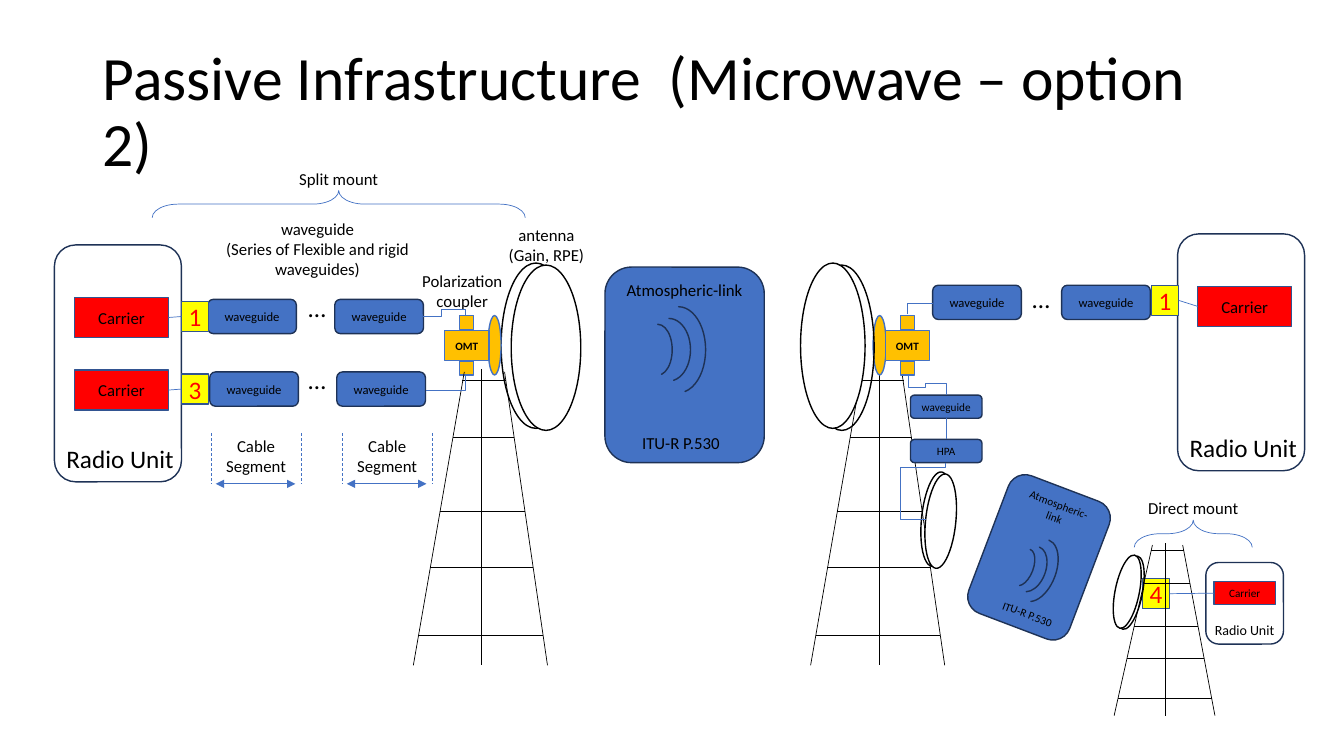
from lxml import etree
from pptx import Presentation
from pptx.dml.color import RGBColor
from pptx.enum.dml import MSO_LINE
from pptx.enum.shapes import MSO_CONNECTOR, MSO_SHAPE
from pptx.enum.text import MSO_ANCHOR, MSO_AUTO_SIZE, PP_ALIGN
from pptx.oxml.ns import qn
from pptx.util import Inches, Pt

RECT, ROUND, OVAL = MSO_SHAPE.RECTANGLE, MSO_SHAPE.ROUNDED_RECTANGLE, MSO_SHAPE.OVAL
ARC, BRACE = MSO_SHAPE.BLOCK_ARC, MSO_SHAPE.RIGHT_BRACE
STRAIGHT, ELBOW = MSO_CONNECTOR.STRAIGHT, MSO_CONNECTOR.ELBOW
DASH = MSO_LINE.DASH
TOP, MIDDLE = MSO_ANCHOR.TOP, MSO_ANCHOR.MIDDLE
LEFT, CENTER = PP_ALIGN.LEFT, PP_ALIGN.CENTER
FIT = MSO_AUTO_SIZE.SHAPE_TO_FIT_TEXT
SITE_TOP, SITE_BOTTOM, SITE_LEFT, SITE_RIGHT = 0, 2, 1, 3

BLUE, NAVY, EDGE = "4472C4", "1E3256", "325491"
BLACK, WHITE, RED, YELLOW, ORANGE = "000000", "FFFFFF", "FF0000", "FFFF00", "FFC000"
RUNGS = (0.04, 0.23, 0.48, 0.67, 0.9)
WAVES = ((0.44, 0.34, 0), (0.26, 0.18, -0.13), (0.32, 0.27, -0.06))


def color(value):
    return RGBColor.from_string(value)


def write(shape, text, size, ink=BLACK, align=CENTER, anchor=MIDDLE, bold=False):
    frame = shape.text_frame
    frame.word_wrap = True
    frame.vertical_anchor = anchor
    frame.text = text
    for paragraph in frame.paragraphs:
        paragraph.alignment = align
        for run in paragraph.runs:
            run.font.name, run.font.size, run.font.bold = "Calibri", Pt(size), bold
            run.font.color.rgb = color(ink)
    return frame


def shape(slide, kind, x, y, w, h, fill=None, line=NAVY, weight=1, rotation=0):
    part = slide.shapes.add_shape(kind, Inches(x), Inches(y), Inches(w), Inches(h))
    part.shadow.inherit = False
    part.rotation = rotation
    if fill:
        part.fill.solid()
        part.fill.fore_color.rgb = color(fill)
    else:
        part.fill.background()
    part.line.color.rgb = color(line)
    part.line.width = Pt(weight)
    return part


def block(slide, kind, x, y, w, h, text, size, fill=BLUE, line=NAVY, ink=BLACK, bold=False):
    part = shape(slide, kind, x, y, w, h, fill, line)
    frame = write(part, text, size, ink, bold=bold)
    frame.margin_left = frame.margin_right = 0
    return part


def label(slide, x, y, w, h, text, size=12, align=CENTER, rotation=0):
    box = slide.shapes.add_textbox(Inches(x), Inches(y), Inches(w), Inches(h))
    box.rotation = rotation
    write(box, text, size, align=align, anchor=TOP).auto_size = FIT


def line(slide, x1, y1, x2, y2, ink=BLUE, kind=STRAIGHT):
    wire = slide.shapes.add_connector(kind, Inches(x1), Inches(y1), Inches(x2), Inches(y2))
    wire.line.color.rgb = color(ink)
    wire.line.width = Pt(0.5)
    etree.SubElement(wire.element.spPr, qn("a:effectLst"))
    return wire


def join(slide, start, start_site, end, end_site):
    wire = line(slide, 0, 0, 1, 1)
    wire.begin_connect(start, start_site)
    wire.end_connect(end, end_site)


def elbow(slide, x, y, w, h, bends, rotation=0, flips="", adjust=()):
    properties = line(slide, x, y, x + w, y + h, kind=ELBOW).element.spPr
    frame = properties.find(qn("a:xfrm"))
    frame.set("rot", str(rotation * 60000))
    for flip in flips:
        frame.set("flip" + flip, "1")
    geometry = properties.find(qn("a:prstGeom"))
    geometry.set("prst", f"bentConnector{bends}")
    guides = geometry.find(qn("a:avLst"))
    if guides is None:
        guides = etree.SubElement(geometry, qn("a:avLst"))
    for number, value in enumerate(adjust, 1):
        etree.SubElement(guides, qn("a:gd"), name=f"adj{number}", fmla=f"val {round(value * 100000)}")


def tower(slide, x, y, w, h):
    def leg(top, bottom, depth):
        return x + w * (top + (bottom - top) * depth)

    line(slide, leg(0.38, 0, 0), y + 0.01 * h, x, y + h, BLACK)
    line(slide, leg(0.68, 1, 0), y + 0.01 * h, x + w, y + h, BLACK)
    line(slide, x + 0.51 * w, y, x + 0.51 * w, y + h, BLACK)
    for depth in RUNGS:
        line(slide, leg(0.68, 1, depth), y + h * depth, leg(0.38, 0, depth), y + h * depth, BLACK)


def dish(slide, x, y, w, h, dx, dy, rotation=0, back=None):
    shape(slide, OVAL, x, y, w, h, back, BLACK, rotation=rotation)
    shape(slide, OVAL, x + dx, y + dy, w, h, WHITE, BLACK, rotation=rotation)


def omt(slide, x, y, feed_dx):
    shape(slide, OVAL, x + feed_dx, y, 0.13, 0.59, ORANGE, BLUE)
    block(slide, RECT, x, y + 0.15, 0.44, 0.3, "OMT", 8, ORANGE, BLUE, bold=True)
    for dy in (0, 0.45):
        shape(slide, RECT, x + 0.15, y + dy, 0.14, 0.14, ORANGE, BLUE)


def waveguide(slide, x, y):
    block(slide, ROUND, x, y, 0.88, 0.34, "waveguide", 9)


def port(slide, x, y, number):
    return block(slide, RECT, x, y, 0.27, 0.3, number, 18, YELLOW, EDGE, RED)


def carrier(slide, x, y, w=0.93, h=0.4, size=12):
    return block(slide, RECT, x, y, w, h, "Carrier", size, RED, EDGE)


def radio_unit(slide, x, y):
    shape(slide, ROUND, x, y, 1.26, 2.35)
    label(slide, x + 0.02, y + 1.92, 1.53, 0.4, "Radio Unit", 18, LEFT)


def brace(slide, x, y, w, h, text):
    part = shape(slide, BRACE, x + (w - h) / 2, y + (h - w) / 2, h, w, line=BLUE, weight=0.5, rotation=270)
    part.adjustments[0], part.adjustments[1] = 0.95, 0.5
    label(slide, x + w / 2 - 1.13, y - 0.27, 2.26, 0.3, text)


def cable_segment(slide, x, y, w, h):
    for edge in (x, x + w):
        line(slide, edge, y, edge, y + h).line.dash_style = DASH
    span = line(slide, x + 0.04, y + h, x + w - 0.06, y + h)
    stroke = span.element.spPr.find(qn("a:ln"))
    for end in ("a:headEnd", "a:tailEnd"):
        etree.SubElement(stroke, qn(end), type="triangle")
    label(slide, x + 0.04, y - 0.03, 0.8, 0.5, "Cable\nSegment")


def atmospheric_link(slide, x, y, w, h, size, waves, caption, rotation=0):
    panel = shape(slide, ROUND, x, y, w, h, BLUE, rotation=rotation)
    write(panel, "Atmospheric-link", size, anchor=TOP)
    wave_x, wave_y = waves
    for length, depth, shift in WAVES:
        arc_w, arc_h = length * h, depth * w
        arc = shape(slide, ARC, wave_x + shift * w - arc_w / 2, wave_y - arc_h / 2 + shift * wave_y * rotation / 500,
                    arc_w, arc_h, BLUE, rotation=90 + rotation)
        for index, value in enumerate((108, 210.7, 0)):
            arc.adjustments[index] = value
    label(slide, *caption, "ITU-R P.530", size, LEFT, rotation)


def heading(slide, x, y, w, h):
    title = slide.shapes.add_textbox(Inches(x), Inches(y), Inches(w), Inches(h))
    frame = write(title, "Passive Infrastructure  (Microwave – option 2)", 44, align=LEFT)
    frame.paragraphs[0].line_spacing = 0.9


def near_site(slide, x, y):
    dish(slide, x + 4.43, y + 0.18, 0.69, 1.64, 0.1, 0.02, back=WHITE)
    omt(slide, x + 3.87, y + 0.7, 0.43)
    tower(slide, x + 3.56, y + 1.23, 1.33, 2.94)
    radio_unit(slide, x, y)
    for row, number in enumerate("13"):
        top = y + 0.72 * row
        for guide_x in (1.52, 2.78):
            waveguide(slide, x + guide_x + 0.02 * row, top + 0.54)
        label(slide, x + 2.42, top + 0.42, 0.27, 0.4, "…", 18, LEFT)
        source = carrier(slide, x + 0.2, top + 0.52)
        join(slide, source, SITE_RIGHT, port(slide, x + 1.26, top + 0.56, number), SITE_LEFT)
    label(slide, x + 1.48, y - 0.31, 2.26, 0.71, "waveguide\n(Series of Flexible and rigid waveguides)")
    label(slide, x + 3.75, y - 0.25, 2.26, 0.5, "antenna\n(Gain, RPE)")
    label(slide, x + 3.53, y + 0.21, 1.03, 0.5, "Polarization coupler")
    for segment_x in (1.56, 2.86):
        cable_segment(slide, x + segment_x, y + 1.87, 0.89, 0.5)
    elbow(slide, x + 3.66, y + 0.7, 0.42, 0.01, 4, flips="V", adjust=(0.42, 7))
    elbow(slide, x + 3.69, y + 1.3, 0.39, 0.14, 2, flips="V")
    brace(slide, x + 0.97, y - 0.54, 3.7, 0.27, "Split mount")


def far_site(slide, x, y):
    tower(slide, x + 0.1, y + 1.34, 1.33, 2.94)
    repeater = block(slide, ROUND, x + 1.09, y + 1.6, 0.71, 0.23, "waveguide", 8)
    amplifier = block(slide, ROUND, x + 1.09, y + 2.04, 0.71, 0.23, "HPA", 8)
    join(slide, repeater, SITE_BOTTOM, amplifier, SITE_TOP)
    omt(slide, x + 0.84, y + 0.81, -0.12)
    for guide_x in (1.31, 2.59):
        waveguide(slide, x + guide_x, y + 0.51)
    label(slide, x + 2.2, y + 0.44, 0.27, 0.4, "…", 18, LEFT)
    radio_unit(slide, x + 3.74, y)
    source = carrier(slide, x + 3.94, y + 0.52)
    join(slide, port(slide, x + 3.48, y + 0.51, "1"), SITE_RIGHT, source, SITE_LEFT)
    dish(slide, x + 0.09, y + 0.31, 0.64, 1.64, -0.09, -0.02)
    dish(slide, x + 1.2, y + 2.36, 0.3, 0.94, 0.04, 0.02, 5.8)
    elbow(slide, x + 1.13, y + 0.62, 0.11, 0.25, 2, 90, "HV")
    elbow(slide, x + 1.16, y + 1.31, 0.2, 0.38, 5, 270, "H", (0.63, 0.44, 0.43))
    elbow(slide, x + 1.06, y + 2.45, 0.56, 0.2, 4, 90, adjust=(0.09, 2.25))


def direct_mount(slide, x, y):
    exit_port = port(slide, x + 0.28, y + 0.35, "4")
    tower(slide, x, y, 1, 1.71)
    dish(slide, x + 0.04, y + 0.12, 0.24, 0.74, -0.03, -0.01, 11.4)
    shape(slide, ROUND, x + 0.91, y + 0.19, 0.77, 0.81)
    source = carrier(slide, x + 0.99, y + 0.38, 0.61, 0.23, 8)
    label(slide, x + 0.9, y + 0.73, 1, 0.27, "Radio Unit", 10, LEFT)
    join(slide, exit_port, SITE_RIGHT, source, SITE_LEFT)
    brace(slide, x + 0.2, y - 0.23, 1.17, 0.27, "Direct mount")


def main():
    deck = Presentation()
    deck.slide_width, deck.slide_height = Inches(13.33), Inches(7.5)
    slide = deck.slides.add_slide(deck.slide_layouts[6])
    heading(slide, 0.92, 0.4, 11.5, 1.45)
    atmospheric_link(slide, 6, 2.65, 1.58, 1.94, 12, (6.73, 3.47), (6.27, 4.24, 1.16, 0.3))
    near_site(slide, 0.54, 2.43)
    far_site(slide, 7.94, 2.32)
    direct_mount(slide, 11.05, 5.39)
    atmospheric_link(slide, 9.77, 4.8, 1.07, 1.46, 8, (10.29, 5.66), (9.83, 5.99, 0.79, 0.24), 20.8)
    deck.save("out.pptx")


if __name__ == "__main__":
    main()
